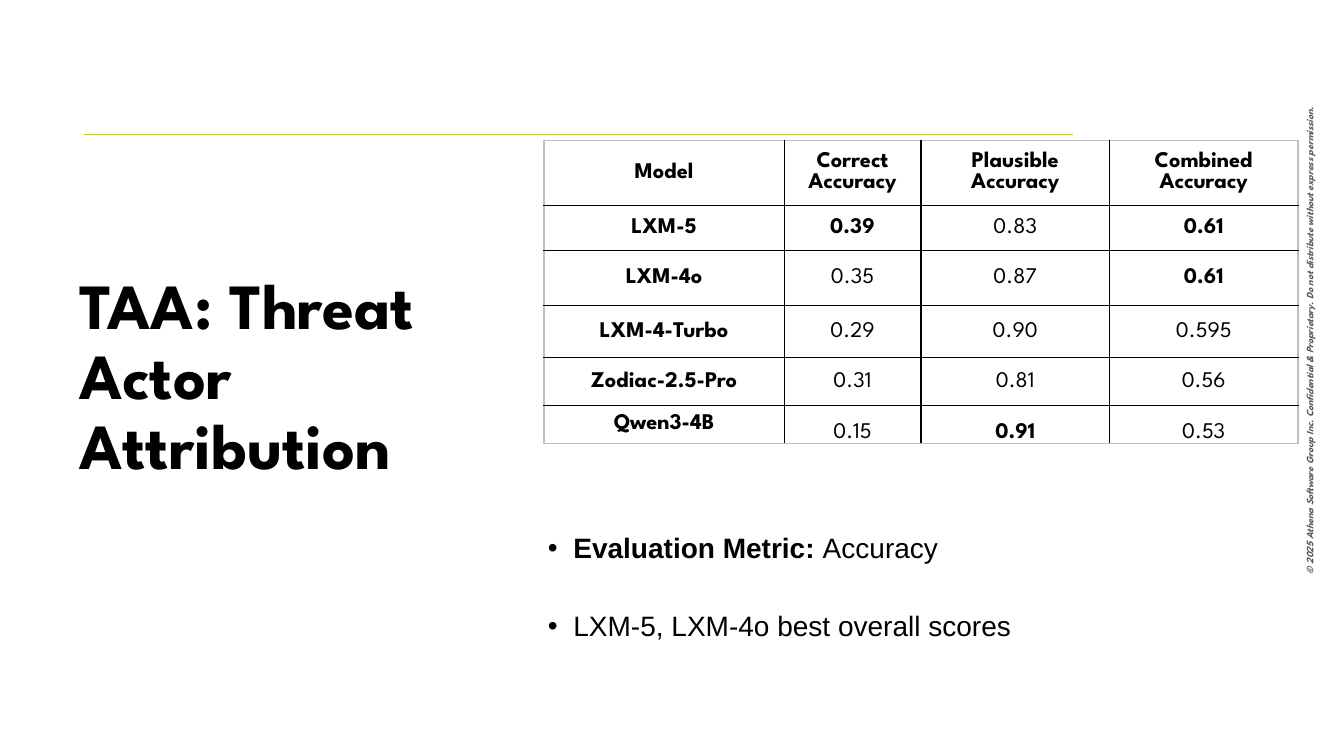
from pptx import Presentation
from pptx.dml.color import RGBColor
from pptx.enum.shapes import MSO_CONNECTOR as Connector
from pptx.enum.text import MSO_ANCHOR as Anchor, MSO_AUTO_SIZE as AutoSize, PP_ALIGN as Align
from pptx.oxml.ns import qn
from pptx.util import Cm, Pt
from lxml.etree import SubElement

COLORS = {"text": "000000", "notice": "595959", "rule": "C0CF3A",
          "grid": "000000", "frame": "BFBFBF"}
HEADING_FONT, BODY_FONT = "League Spartan", "Arial"

HEADER = ["Model", "Correct Accuracy", "Plausible Accuracy", "Combined Accuracy"]
SCORES = [
    ["LXM-5", "0.39", "0.83", "0.61"],
    ["LXM-4o", "0.35", "0.87", "0.61"],
    ["LXM-4-Turbo", "0.29", "0.90", "0.595"],
    ["Zodiac-2.5-Pro", "0.31", "0.81", "0.56"],
    ["Qwen3-4B", "0.15", "0.91", "0.53"],
]
BEST = {"0.39", "0.91", "0.61"}
COLUMN_WIDTHS = [6.05, 3.45, 4.75, 4.75]
ROW_HEIGHTS = [1.63, 1.14, 1.4, 1.3, 1.22, 0.94]


def write(paragraph, text, size, font=HEADING_FONT, color="text",
          bold=False, italic=False, align=None, spacing=None):
    """Add one formatted run to a paragraph."""
    run = paragraph.add_run()
    run.text = text
    run.font.name, run.font.size = font, Pt(size)
    run.font.bold, run.font.italic = bold, italic
    run.font.color.rgb = RGBColor.from_string(COLORS[color])
    if align is not None:
        paragraph.alignment = align
    if spacing is not None:
        paragraph.line_spacing = spacing


class SlideBuilder:
    def __init__(self, presentation):
        self.slide = presentation.slides.add_slide(presentation.slide_layouts[5])

    def place(self, shape, left, top, width, height):
        shape.left, shape.top = Cm(left), Cm(top)
        shape.width, shape.height = Cm(width), Cm(height)

    def title(self, text, *box):
        shape = self.slide.shapes.title
        self.place(shape, *box)
        frame = shape.text_frame
        frame.word_wrap, frame.auto_size = True, AutoSize.NONE
        frame.vertical_anchor = Anchor.MIDDLE
        write(frame.paragraphs[0], text, 46, bold=True, align=Align.LEFT, spacing=0.9)

    def text_box(self, *box, anchor=Anchor.TOP, rotation=0):
        shape = self.slide.shapes.add_textbox(*map(Cm, box))
        shape.rotation = rotation
        frame = shape.text_frame
        frame.word_wrap, frame.vertical_anchor = True, anchor
        return frame

    def notice(self, text, *box):
        frame = self.text_box(*box, anchor=Anchor.MIDDLE, rotation=270)
        write(frame.paragraphs[0], text, 7, color="notice", bold=True,
              italic=True, align=Align.CENTER)

    def bullets(self, items, *box):
        frame = self.text_box(*box)
        for index, runs in enumerate(items):
            paragraph = frame.add_paragraph() if index else frame.paragraphs[0]
            properties = paragraph._p.get_or_add_pPr()
            properties.set("marL", str(Cm(1.27)))
            properties.set("indent", str(Cm(-0.64)))
            SubElement(properties, qn("a:buFont"), typeface=BODY_FONT)
            SubElement(properties, qn("a:buChar"), char="•")
            paragraph.space_after = Pt(34)
            for text, bold in runs:
                write(paragraph, text, 20, font=BODY_FONT, bold=bold, spacing=0.9)

    def rule(self, left, right, top):
        line = self.slide.shapes.add_connector(
            Connector.STRAIGHT, Cm(left), Cm(top), Cm(right), Cm(top))
        line.line.color.rgb = RGBColor.from_string(COLORS["rule"])
        line.line.width = Pt(0.75)
        SubElement(line._element.spPr, qn("a:effectLst"))

    def borders(self, cell, on_frame):
        """Draw the four edges; on_frame tells which lie on the outside."""
        properties = cell._tc.get_or_add_tcPr()
        for tag, outside in zip(("a:lnL", "a:lnR", "a:lnT", "a:lnB"), on_frame):
            line = SubElement(properties, qn(tag), w=str(Pt(1)))
            fill = SubElement(line, qn("a:solidFill"))
            SubElement(fill, qn("a:srgbClr"), val=COLORS["frame" if outside else "grid"])

    def table(self, rows, left, top):
        last_row, last_column = len(rows) - 1, len(COLUMN_WIDTHS) - 1
        table = self.slide.shapes.add_table(
            len(rows), len(COLUMN_WIDTHS), Cm(left), Cm(top),
            Cm(sum(COLUMN_WIDTHS)), Cm(sum(ROW_HEIGHTS))).table
        table.first_row = table.horz_banding = False
        for column, width in zip(table.columns, COLUMN_WIDTHS):
            column.width = Cm(width)
        for row, height in zip(table.rows, ROW_HEIGHTS):
            row.height = Cm(height)
        for r, values in enumerate(rows):
            for c, value in enumerate(values):
                cell = table.cell(r, c)
                cell.vertical_anchor = Anchor.MIDDLE
                # The last scores sit on the bottom edge
                if r == last_row and c > 0:
                    cell.vertical_anchor = Anchor.BOTTOM
                    cell.margin_left = cell.margin_right = cell.margin_top = Cm(0.03)
                    cell.margin_bottom = 0
                write(cell.text_frame.paragraphs[0], value, 16, align=Align.CENTER,
                      bold=r == 0 or c == 0 or value in BEST)
                self.borders(cell, (c == 0, c == last_column, r == 0, r == last_row))
                cell.fill.background()


def main():
    presentation = Presentation()
    presentation.slide_width, presentation.slide_height = Cm(33.87), Cm(19.05)
    builder = SlideBuilder(presentation)

    # Page furniture
    builder.notice("© 2025 Athena Software Group Inc. Confidential & Proprietary. "
                   "Do not distribute without express permission.",
                   25.43, 8.1, 15.14, 0.97)
    builder.rule(2.11, 27.03, 3.4)

    # Title, scores and findings
    builder.title("TAA: Threat Actor Attribution", 1.75, 1.78, 9.5, 15.52)
    builder.bullets([[("Evaluation Metric: ", True), ("Accuracy", False)],
                     [("LXM-5, LXM-4o best overall scores", False)]],
                    12.93, 13.34, 19.15, 3.96)
    builder.table([HEADER] + SCORES, 13.71, 3.54)

    presentation.save("out.pptx")


if __name__ == "__main__":
    main()
